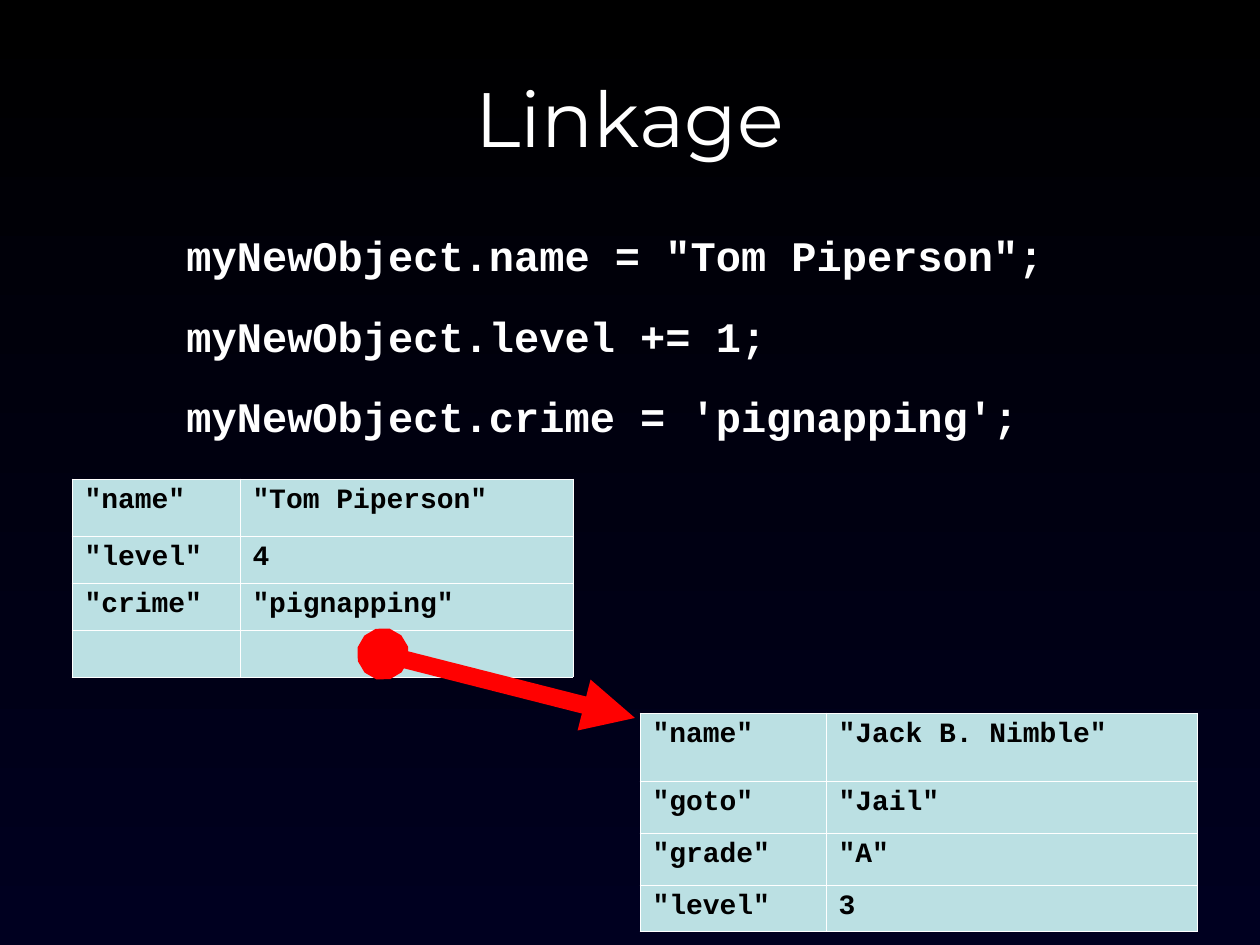
from dataclasses import dataclass

from lxml import etree
from pptx import Presentation
from pptx.dml.color import RGBColor
from pptx.enum.shapes import MSO_CONNECTOR
from pptx.enum.text import MSO_ANCHOR, PP_ALIGN
from pptx.oxml.ns import qn
from pptx.util import Emu, Pt

STRAIGHT = MSO_CONNECTOR.STRAIGHT
TOP, MIDDLE = MSO_ANCHOR.TOP, MSO_ANCHOR.MIDDLE
LEFT, CENTER = PP_ALIGN.LEFT, PP_ALIGN.CENTER
EMU_PER_PX = 914400 / 126


@dataclass(frozen=True)
class Theme:
    bg_top: str = "000000"
    bg_bottom: str = "000020"
    light: str = "FFFFFF"
    dark: str = "000000"
    cell: str = "BBE0E3"
    arrow: str = "FF0101"
    heading: str = "Montserrat"
    code: str = "Courier New"
    title_pt: int = 44
    code_pt: int = 24
    cell_pt: int = 16
    code_gap_pt: int = 17
    arrow_pt: int = 10
    border_pt: float = 0.45


THEME = Theme()


def px(n):
    return Emu(round(n * EMU_PER_PX))


def rgb(value):
    return RGBColor.from_string(value)


def add_run(p, text, font, size, color, bold=False):
    r = p.add_run()
    r.text = text
    r.font.name = font
    r.font.size = Pt(size)
    r.font.bold = bold
    r.font.color.rgb = rgb(color)


def paint_background(s):
    fill = s.background.fill
    fill.gradient()
    fill.gradient_angle = 270
    for stop, color in zip(fill.gradient_stops, (THEME.bg_top, THEME.bg_bottom)):
        stop.color.rgb = rgb(color)


def add_text(s, box, lines, font, size, bold=False, align=LEFT,
             anchor=TOP, gap=0, inset_top=6):
    tf = s.shapes.add_textbox(*map(px, box)).text_frame
    tf.word_wrap = True
    tf.vertical_anchor = anchor
    tf.margin_top = px(inset_top)
    for i, line in enumerate(lines):
        p = tf.add_paragraph() if i else tf.paragraphs[0]
        p.alignment = align
        if i:
            p.space_before = Pt(gap)
        add_run(p, line, font, size, THEME.light, bold)


def add_borders(cell):
    tc_pr = cell._tc.get_or_add_tcPr()
    for side in ("a:lnL", "a:lnR", "a:lnT", "a:lnB"):
        ln = etree.SubElement(tc_pr, qn(side), w=str(Pt(THEME.border_pt)))
        fill = etree.SubElement(ln, qn("a:solidFill"))
        etree.SubElement(fill, qn("a:srgbClr"), val=THEME.light)


def add_object_table(s, left, top, widths, heights, entries):
    """Draw an object as a table of keys and values."""
    frame = s.shapes.add_table(len(heights), len(widths), px(left), px(top),
                               px(sum(widths)), px(sum(heights)))
    table = frame.table
    table.first_row = table.horz_banding = False
    for column, width in zip(table.columns, widths):
        column.width = px(width)
    for row, height, texts in zip(table.rows, heights, entries):
        row.height = px(height)
        for cell, text in zip(row.cells, texts):
            add_borders(cell)
            cell.fill.solid()
            cell.fill.fore_color.rgb = rgb(THEME.cell)
            if text:
                add_run(cell.text_frame.paragraphs[0], text, THEME.code,
                        THEME.cell_pt, THEME.dark, bold=True)
            else:
                # Keeps an empty row from growing
                cell.margin_top = cell.margin_bottom = 0


def add_link_arrow(s, start, end):
    line = s.shapes.add_connector(STRAIGHT, *map(px, start + end))
    line.line.color.rgb = rgb(THEME.arrow)
    line.line.width = Pt(THEME.arrow_pt)
    ln = line.line._get_or_add_ln()
    etree.SubElement(ln, qn("a:headEnd"), type="oval")
    etree.SubElement(ln, qn("a:tailEnd"), type="triangle")
    etree.SubElement(line._element.spPr, qn("a:effectLst"))


def main():
    prs = Presentation()
    prs.slide_width, prs.slide_height = px(1260), px(945)
    s = prs.slides.add_slide(prs.slide_layouts[6])
    paint_background(s)

    # Title
    add_text(s, (63, 38, 1134, 157), ["Linkage"], THEME.heading,
             THEME.title_pt, align=CENTER, anchor=MIDDLE)

    # Linking object
    add_object_table(s, 72, 479, (168, 333), (57, 47, 47, 47), [
        ('"name"', '"Tom Piperson"'),
        ('"level"', "4"),
        ('"crime"', '"pignapping"'),
        ("", ""),
    ])

    # Code
    add_text(s, (174, 217, 913, 217), [
        'myNewObject.name = "Tom Piperson";',
        "myNewObject.level += 1;",
        "myNewObject.crime = 'pignapping';",
    ], THEME.code, THEME.code_pt, bold=True, gap=THEME.code_gap_pt, inset_top=13)

    # Link to the other object
    add_link_arrow(s, (383, 654), (635, 718))

    # Linked object
    add_object_table(s, 640, 713, (186, 371), (68, 52, 52, 46), [
        ('"name"', '"Jack B. Nimble"'),
        ('"goto"', '"Jail"'),
        ('"grade"', '"A"'),
        ('"level"', "3"),
    ])

    prs.save("out.pptx")


if __name__ == "__main__":
    main()
